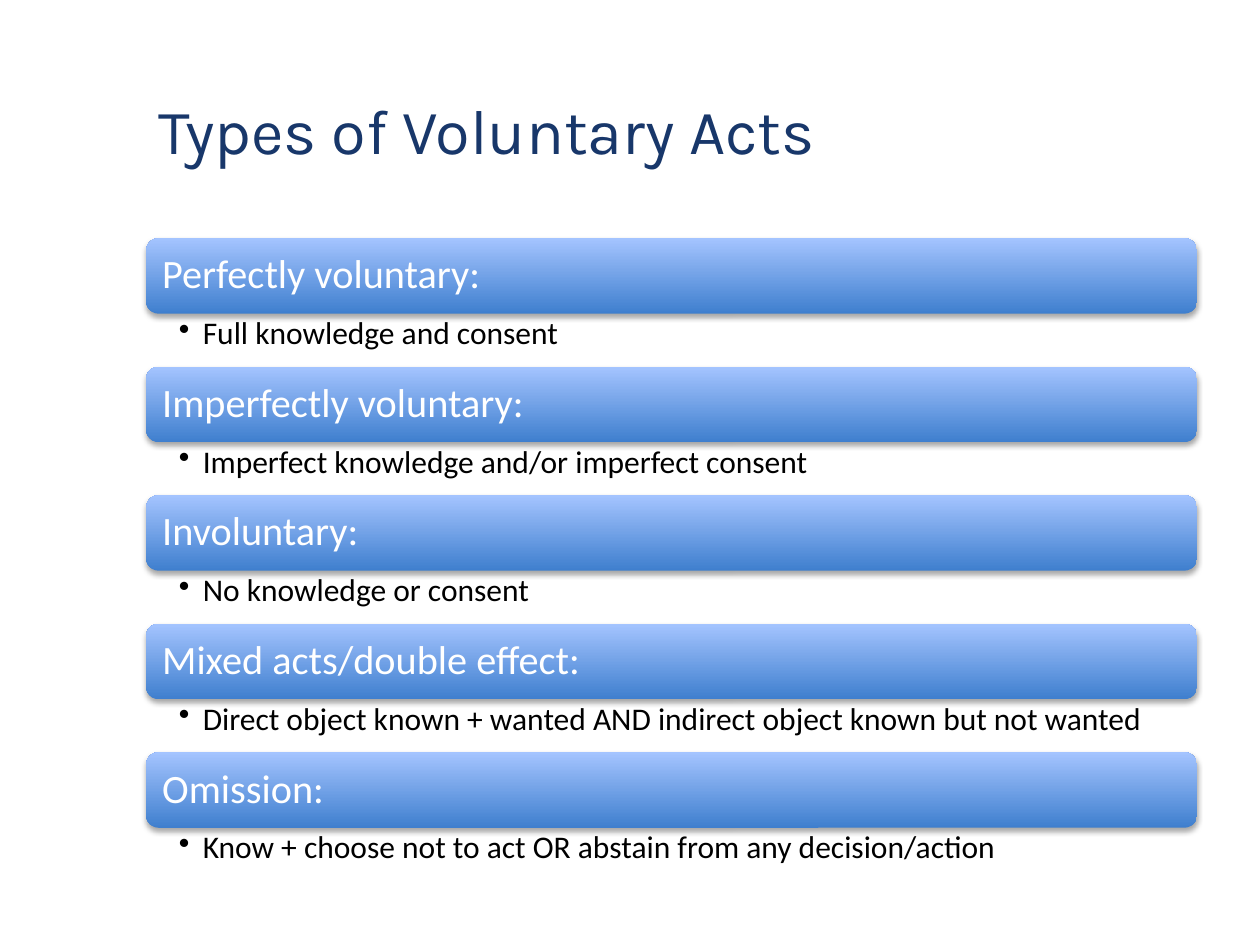
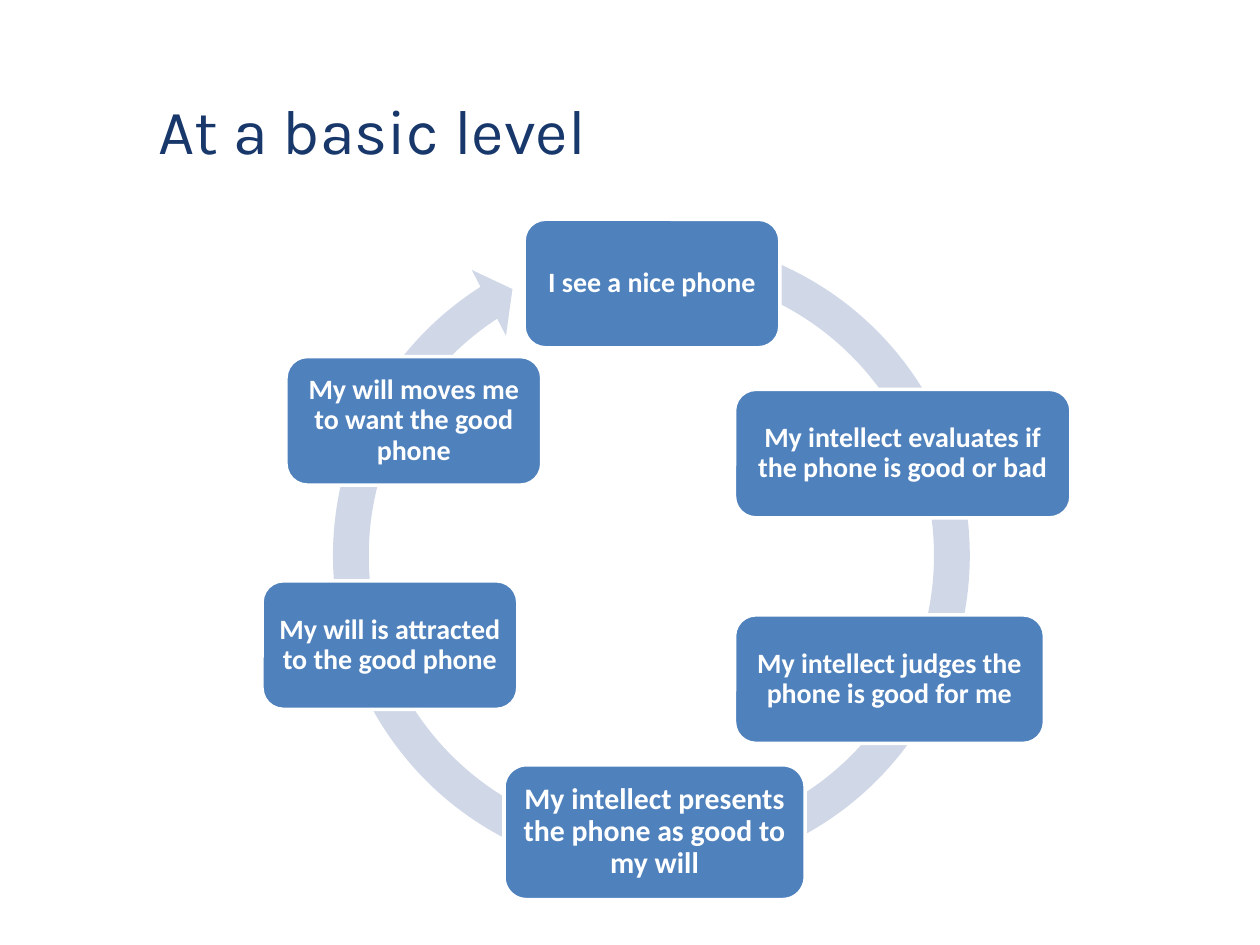
from dataclasses import dataclass

from lxml.etree import SubElement
from pptx import Presentation
from pptx.dml.color import RGBColor
from pptx.enum.shapes import MSO_SHAPE as Preset
from pptx.enum.text import MSO_ANCHOR as Anchor, PP_ALIGN as Align
from pptx.oxml.ns import qn
from pptx.presentation import Presentation as Deck
from pptx.shapes.autoshape import Shape
from pptx.slide import Slide
from pptx.text.text import _Paragraph as Paragraph
from pptx.util import Inches, Length, Pt

SLIDE_WIDTH, SLIDE_HEIGHT = Inches(10), Inches(7.5)
COLUMNS, ROWS = 100, 75

NAVY = "18376A"
WHITE = "FFFFFF"
BLACK = "000000"
BAR_BOTTOM, BAR_TOP = "3F7FCE", "A4C4FF"
STEP_BLUE = "4F81BD"
RING_GREY = "D0D8E8"

LEFT_COLUMN = 11.6
BAR_COLUMNS, BAR_ROWS = 83.4, 6
FIRST_BAR_ROW, DETAIL_ROWS = 18.9, 4.2
STEP_ROWS = 10.2


@dataclass(frozen=True)
class Cell:
    column: float
    row: float
    columns: float
    rows: float

    def box(self) -> tuple[Length, Length, Length, Length]:
        return (
            Length(round(SLIDE_WIDTH * self.column / COLUMNS)),
            Length(round(SLIDE_HEIGHT * self.row / ROWS)),
            Length(round(SLIDE_WIDTH * self.columns / COLUMNS)),
            Length(round(SLIDE_HEIGHT * self.rows / ROWS)),
        )


@dataclass(frozen=True)
class TextStyle:
    size: float
    color: str
    font: str = "Calibri"
    bold: bool = False
    align: Align = Align.LEFT
    anchor: Anchor = Anchor.MIDDLE
    line_spacing: float = 0.9
    insets: tuple[float, float, float, float] = (0.1, 0.1, 0.1, 0.1)
    bullet_indent: float = 0


@dataclass(frozen=True)
class ActType:
    heading: str
    detail: str


@dataclass(frozen=True)
class Step:
    text: str
    column: float
    row: float
    columns: float = 20.3
    rows: float = STEP_ROWS
    size: float = 16


TITLE = TextStyle(36, NAVY, "Karla", line_spacing=1, insets=(0.1, 0.05, 0.1, 0.05))
HEADING = TextStyle(23, WHITE)
DETAIL = TextStyle(
    18, BLACK, anchor=Anchor.TOP, insets=(0.26, 0.03, 0.18, 0.03), bullet_indent=0.19
)

ACT_TYPES = [
    ActType("Perfectly voluntary:", "Full knowledge and consent"),
    ActType("Imperfectly voluntary:", "Imperfect knowledge and/or imperfect consent"),
    ActType("Involuntary:", "No knowledge or consent"),
    ActType(
        "Mixed acts/double effect:",
        "Direct object known + wanted AND indirect object known but not wanted",
    ),
    ActType("Omission:", "Know + choose not to act OR abstain from any decision/action"),
]

STEPS = [
    Step("I see a nice phone", 41.6, 17.4),
    Step("My intellect evaluates if the phone is good or bad", 58.3, 30.9, 26.7),
    Step("My intellect judges the phone is good for me", 58.3, 48.8, 24.6),
    Step("My intellect presents the phone as good to my will", 40, 60.7, 23.9, 10.7, 17),
    Step("My will is attracted to the good phone", 20.8, 46.1),
    Step("My will moves me to want the good phone", 22.7, 28.3),
]


def rgb(color: str) -> RGBColor:
    return RGBColor.from_string(color)


def add_bullet(paragraph: Paragraph, indent: float) -> None:
    properties = paragraph._p.get_or_add_pPr()
    properties.set("marL", str(Inches(indent)))
    properties.set("indent", str(-Inches(indent)))
    SubElement(properties, qn("a:buChar")).set("char", "•")


def write(shape: Shape, text: str, style: TextStyle) -> None:
    frame = shape.text_frame
    frame.word_wrap = True
    frame.vertical_anchor = style.anchor
    frame.margin_left, frame.margin_top, frame.margin_right, frame.margin_bottom = map(
        Inches, style.insets
    )
    paragraph = frame.paragraphs[0]
    paragraph.alignment = style.align
    paragraph.line_spacing = style.line_spacing
    if style.bullet_indent:
        add_bullet(paragraph, style.bullet_indent)
    run = paragraph.add_run()
    run.text = text
    run.font.name = style.font
    run.font.size = Pt(style.size)
    run.font.bold = style.bold
    run.font.color.rgb = rgb(style.color)


def add_text(slide: Slide, cell: Cell, text: str, style: TextStyle) -> None:
    write(slide.shapes.add_textbox(*cell.box()), text, style)


def add_preset(slide: Slide, preset: Preset, cell: Cell, fill: str) -> Shape:
    shape = slide.shapes.add_shape(preset, *cell.box())
    shape.shadow.inherit = False
    shape.fill.solid()
    shape.fill.fore_color.rgb = rgb(fill)
    shape.line.fill.background()
    return shape


def add_soft_shadow(shape: Shape) -> None:
    effects = shape._element.spPr.find(qn("a:effectLst"))
    shadow = SubElement(effects, qn("a:outerShdw"))
    shadow.set("blurRad", str(Pt(3.1)))
    shadow.set("dist", str(Pt(1.8)))
    shadow.set("dir", str(90 * 60000))
    shadow.set("rotWithShape", "0")
    color = SubElement(shadow, qn("a:srgbClr"))
    color.set("val", BLACK)
    SubElement(color, qn("a:alpha")).set("val", "35000")


def add_bar(slide: Slide, cell: Cell, heading: str) -> None:
    bar = add_preset(slide, Preset.ROUNDED_RECTANGLE, cell, BAR_BOTTOM)
    bar.fill.gradient()
    bar.fill.gradient_angle = 90
    for stop, color in zip(bar.fill.gradient_stops, (BAR_BOTTOM, BAR_TOP)):
        stop.color.rgb = rgb(color)
    add_soft_shadow(bar)
    write(bar, heading, HEADING)


def add_ring(slide: Slide) -> None:
    ring = add_preset(slide, Preset.CIRCULAR_ARROW, Cell(24.9, 17.3, 53.6, 53.6), RING_GREY)
    thickness, head_width = 5.3 / 100, 5.5 / 100
    head_angle, end_angle, start_angle = (
        degrees * 60000 / 100000 for degrees in (5.21, 237.26, 285.38)
    )
    values = (thickness, head_angle, end_angle, start_angle, head_width)
    for index, value in enumerate(values):
        ring.adjustments[index] = value


def add_step(slide: Slide, step: Step) -> None:
    cell = Cell(step.column, step.row, step.columns, step.rows)
    shape = add_preset(slide, Preset.ROUNDED_RECTANGLE, cell, STEP_BLUE)
    shape.line.color.rgb = rgb(WHITE)
    shape.line.width = Pt(2)
    style = TextStyle(
        step.size, WHITE, bold=True, align=Align.CENTER, insets=(0.07, 0.07, 0.07, 0.07)
    )
    write(shape, step.text, style)


def add_titled_slide(presentation: Deck, title: str) -> Slide:
    slide = presentation.slides.add_slide(presentation.slide_layouts[6])
    slide.background.fill.solid()
    slide.background.fill.fore_color.rgb = rgb(WHITE)
    add_text(slide, Cell(LEFT_COLUMN, 6, 58.9, 8.6), title, TITLE)
    return slide


def build_voluntary_acts(presentation: Deck) -> None:
    slide = add_titled_slide(presentation, "Types of Voluntary Acts")
    for index, act in enumerate(ACT_TYPES):
        row = FIRST_BAR_ROW + index * (BAR_ROWS + DETAIL_ROWS)
        add_bar(slide, Cell(LEFT_COLUMN, row, BAR_COLUMNS, BAR_ROWS), act.heading)
        detail_cell = Cell(LEFT_COLUMN, row + BAR_ROWS, BAR_COLUMNS, DETAIL_ROWS)
        add_text(slide, detail_cell, act.detail, DETAIL)


def build_basic_level(presentation: Deck) -> None:
    slide = add_titled_slide(presentation, "At a basic level")
    add_ring(slide)
    for step in STEPS:
        add_step(slide, step)


def main() -> None:
    presentation = Presentation()
    presentation.slide_width = SLIDE_WIDTH
    presentation.slide_height = SLIDE_HEIGHT
    build_voluntary_acts(presentation)
    build_basic_level(presentation)
    presentation.save("out.pptx")


if __name__ == "__main__":
    main()
